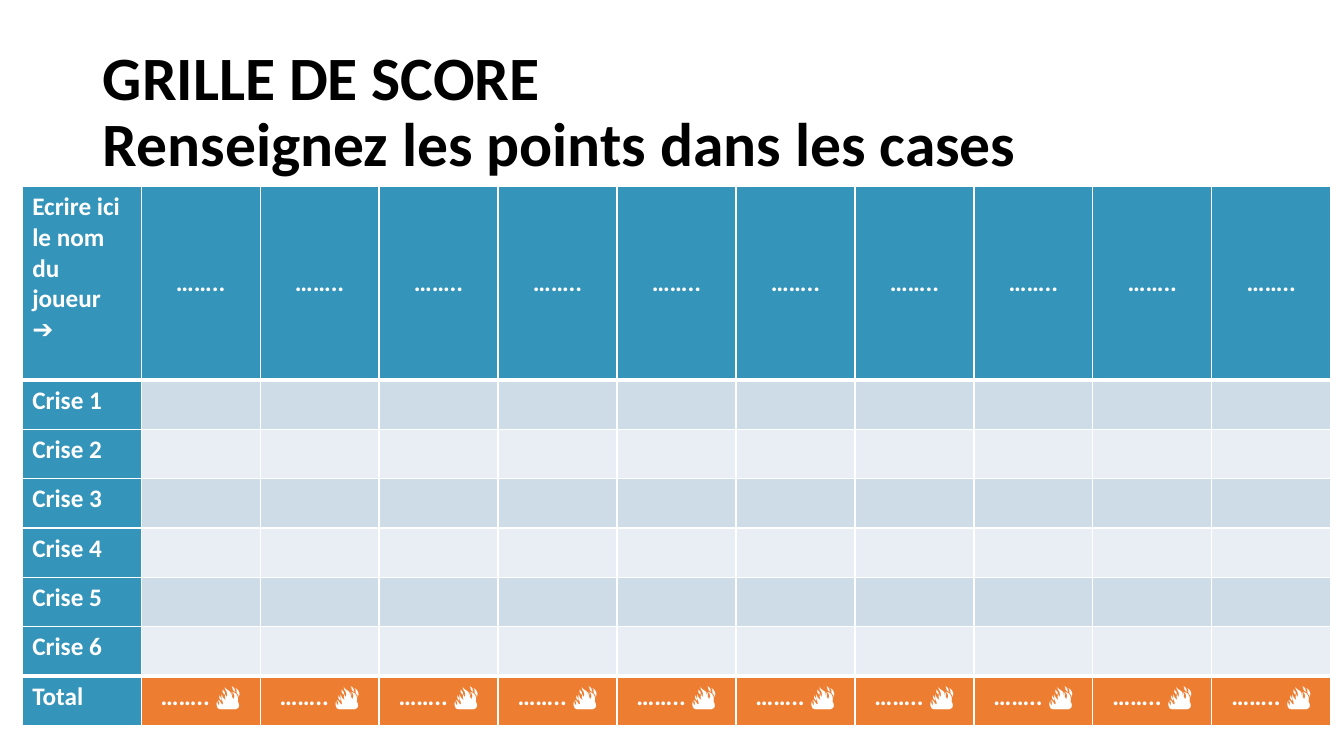
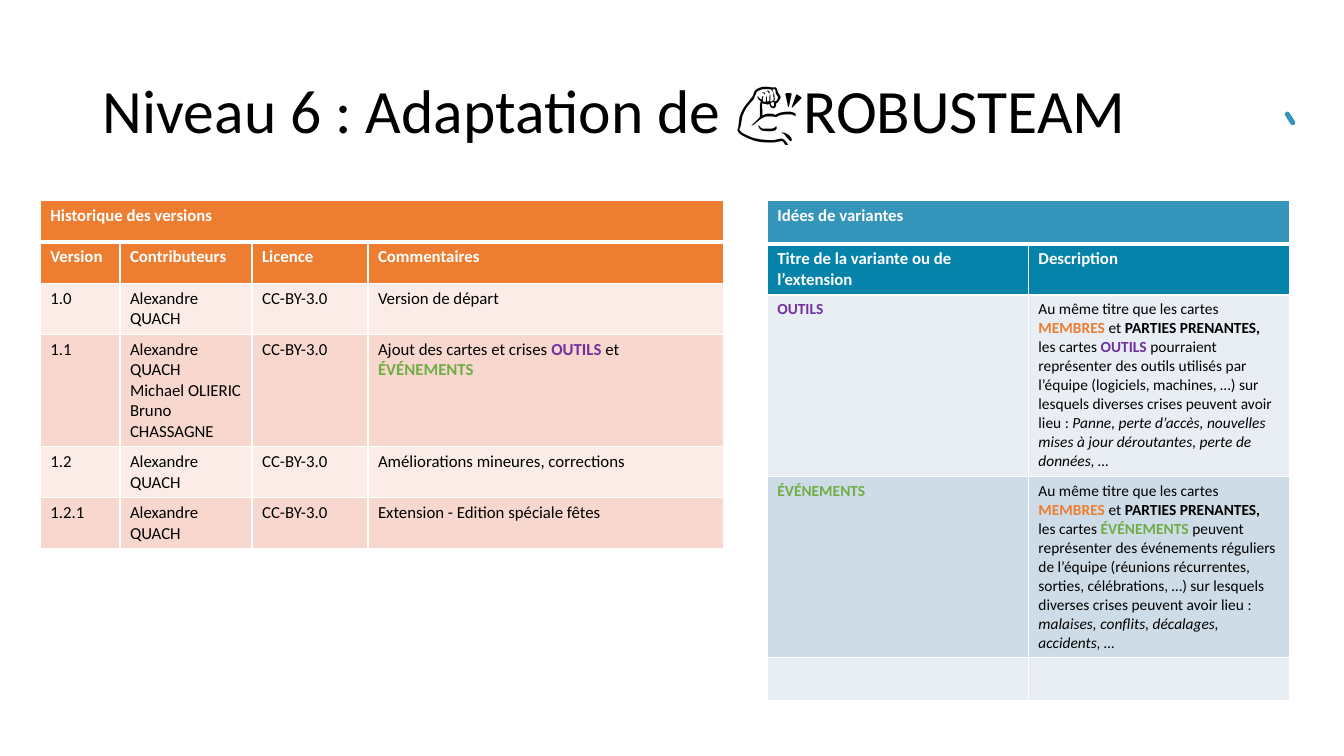
from dataclasses import dataclass

from lxml.etree import SubElement
from pptx import Presentation
from pptx.dml.color import RGBColor
from pptx.enum.shapes import MSO_SHAPE as Shape
from pptx.enum.text import MSO_ANCHOR as Anchor, MSO_AUTO_SIZE as AutoSize, PP_ALIGN as Align
from pptx.oxml.ns import qn
from pptx.util import Inches, Pt

FONT = "Calibri"
BLACK, WHITE = "000000", "FFFFFF"
BLUE, DEEP_BLUE, ORANGE = "3494BA", "0683AA", "ED7D31"
PURPLE, GREEN = "7030A0", "70AD47"
BLUE_BANDS = ["E8EEF3", "CEDCE7"]
ORANGE_BANDS = ["FCECE8", "F8D7CE"]


def rgb(value):
    return RGBColor.from_string(value)


@dataclass
class Look:
    """Appearance of a table cell."""
    fill: str
    size: float = 12
    color: str = WHITE
    bold: bool = True
    align: Align = Align.LEFT
    anchor: Anchor = Anchor.TOP


@dataclass
class Span:
    """Piece of text that differs from the rest of its cell."""
    text: str
    color: str = BLACK
    bold: bool = True
    italic: bool = False


class Designer:
    def __init__(self):
        self.deck = Presentation()
        self.deck.slide_width = Inches(13.33)
        self.deck.slide_height = Inches(7.5)
        self.page = None

    def add_page(self, title, bold=False):
        self.page = self.deck.slides.add_slide(self.deck.slide_layouts[5])
        box = self.page.shapes.title
        box.left, box.top = Inches(0.92), Inches(0.4)
        box.width, box.height = Inches(11.5), Inches(1.45)
        frame = box.text_frame
        frame.text = title
        frame.word_wrap = True
        frame.auto_size = AutoSize.NONE
        frame.vertical_anchor = Anchor.MIDDLE
        para = frame.paragraphs[0]
        para.alignment = Align.LEFT
        para.line_spacing = 0.9
        self.set_font(para.font, 44, BLACK, bold)

    def set_font(self, font, size, color, bold):
        font.name, font.size, font.bold = FONT, Pt(size), bold
        font.color.rgb = rgb(color)

    def add_pill(self, left, top, width, height, color, rotation):
        pill = self.page.shapes.add_shape(
            Shape.ROUNDED_RECTANGLE, Inches(left), Inches(top), Inches(width), Inches(height))
        pill.adjustments[0] = 0.5
        pill.rotation = rotation
        pill.shadow.inherit = False
        pill.fill.solid()
        pill.fill.fore_color.rgb = rgb(color)
        pill.line.fill.background()

    def add_table(self, left, top, widths, heights, rows, thick_after):
        """Each row is a list of (content, look); thick_after lists rows above a thick rule."""
        frame = self.page.shapes.add_table(
            len(heights), len(widths), Inches(left), Inches(top),
            Inches(sum(widths)), Inches(sum(heights)))
        table = frame.table
        table.first_row = table.horz_banding = False
        for column, width in zip(table.columns, widths):
            column.width = Inches(width)
        for row, height in zip(table.rows, heights):
            row.height = Inches(height)
        for r, cells in enumerate(rows):
            top_rule = 3 if r - 1 in thick_after else 1
            bottom_rule = 3 if r in thick_after else 1
            for c, (content, look) in enumerate(cells):
                cell = table.cell(r, c)
                self.set_borders(cell, top_rule, bottom_rule)
                self.fill_cell(cell, content, look)
        return table

    def set_borders(self, cell, top_rule, bottom_rule):
        properties = cell._tc.get_or_add_tcPr()
        for side, width in zip("LRTB", (1, 1, top_rule, bottom_rule)):
            line = SubElement(properties, qn(f"a:ln{side}"), w=str(Pt(width)))
            fill = SubElement(line, qn("a:solidFill"))
            SubElement(fill, qn("a:srgbClr"), val=WHITE)

    def fill_cell(self, cell, content, look):
        cell.fill.solid()
        cell.fill.fore_color.rgb = rgb(look.fill)
        cell.vertical_anchor = look.anchor
        frame = cell.text_frame
        if isinstance(content, str):
            frame.text = content
        else:
            for piece in content:
                run = frame.paragraphs[0].add_run()
                if isinstance(piece, str):
                    run.text = piece
                else:
                    run.text = piece.text
                    run.font.color.rgb = rgb(piece.color)
                    run.font.bold, run.font.italic = piece.bold, piece.italic
                run.font.size = Pt(look.size)
                run.font.name = FONT
        for para in frame.paragraphs:
            para.alignment = look.align
            self.set_font(para.font, look.size, look.color, look.bold)


def score_page(designer):
    designer.add_page("GRILLE DE SCORE\vRenseignez les points dans les cases", bold=True)
    players, crises = 10, 6
    label = Look(BLUE, 18)
    player = Look(BLUE, 18, align=Align.CENTER, anchor=Anchor.MIDDLE)
    total = Look(ORANGE, 18, align=Align.CENTER)

    rows = [[("Ecrire ici le nom du joueur\n➔", label)] + [("……..", player)] * players]
    for number in range(1, crises + 1):
        score = Look(BLUE_BANDS[number % 2], 18, BLACK, False)
        rows.append([(f"Crise {number}", label)] + [("", score)] * players)
    rows.append([("Total", label)] + [("…….. 🔥", total)] * players)

    designer.add_table(0.22, 1.85, [1.18] * (players + 1),
                       [1.92] + [0.49] * (crises + 1), rows, thick_after=(0, crises))


def variant_description(term, middle, examples):
    return ["Au même titre que les cartes ", Span("MEMBRES", ORANGE), " et ",
            Span("PARTIES PRENANTES, "), "les cartes ", term, middle,
            Span(examples, bold=False, italic=True)]


def adaptation_page(designer):
    designer.add_page("Niveau 6 : Adaptation de 💪ROBUSTEAM")
    designer.add_pill(12.72, 1.15, 0.15, 0.05, BLUE, 57.7)
    tools, events = Span("OUTILS", PURPLE), Span("ÉVÉNEMENTS", GREEN)

    # Ideas for variants
    variants = [
        ([tools], variant_description(
            tools,
            " pourraient représenter des outils utilisés par l’équipe (logiciels, machines, …)"
            " sur lesquels diverses crises peuvent avoir lieu : ",
            "Panne, perte d’accès, nouvelles mises à jour déroutantes, perte de données, …")),
        ([events], variant_description(
            events,
            " peuvent représenter des événements réguliers de l’équipe (réunions récurrentes,"
            " sorties, célébrations, …) sur lesquels diverses crises peuvent avoir lieu : ",
            "malaises, conflits, décalages, accidents, …")),
        ("", ""),
    ]
    add_titled_table(designer, 7.61, [2.59] * 2, [0.43, 0.47, 1.75, 0.43, 0.43],
                     "Idées de variantes",
                     ["Titre de la variante ou de l’extension", "Description"],
                     variants, (BLUE, DEEP_BLUE), BLUE_BANDS, 11)

    # Version history
    author, licence = "Alexandre QUACH", "CC-BY-3.0"
    versions = [
        ("1.0", author, licence, "Version de départ"),
        ("1.1", f"{author}\nMichael OLIERIC\nBruno CHASSAGNE", licence,
         ["Ajout des cartes et crises ", tools, " et ", events]),
        ("1.2", author, licence, "Améliorations mineures, corrections"),
        ("1.2.1", author, licence, "Extension - Edition spéciale fêtes"),
    ]
    add_titled_table(designer, 0.4, [0.79, 1.31, 1.15, 3.53], [0.41] * 6,
                     "Historique des versions",
                     ["Version", "Contributeurs", "Licence", "Commentaires"],
                     versions, (ORANGE, ORANGE), ORANGE_BANDS, 12)


def add_titled_table(designer, left, widths, heights, title, headings, records,
                     head_fills, bands, size):
    """Table with a merged title row, a heading row and banded records."""
    title_look, heading_look = (Look(fill) for fill in head_fills)
    rows = [[(title, title_look)] + [("", title_look)] * (len(widths) - 1),
            [(heading, heading_look) for heading in headings]]
    for index, record in enumerate(records):
        look = Look(bands[index % 2], size, BLACK, False)
        rows.append([(content, look) for content in record])
    table = designer.add_table(left, 1.99, widths, heights, rows, thick_after=(0,))
    table.cell(0, 0).merge(table.cell(0, len(widths) - 1))


def main():
    designer = Designer()
    score_page(designer)
    adaptation_page(designer)
    designer.deck.save("out.pptx")


if __name__ == "__main__":
    main()
